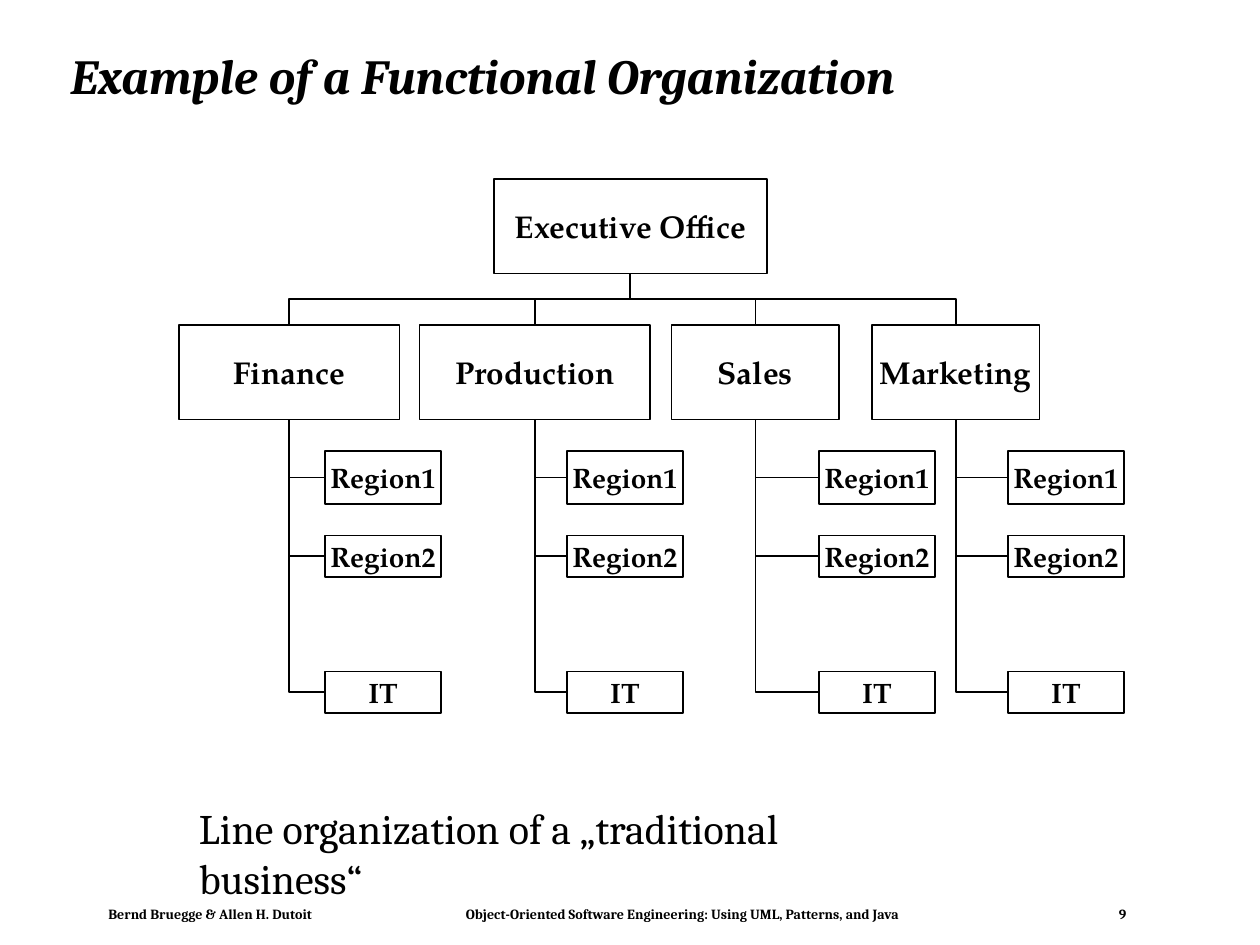
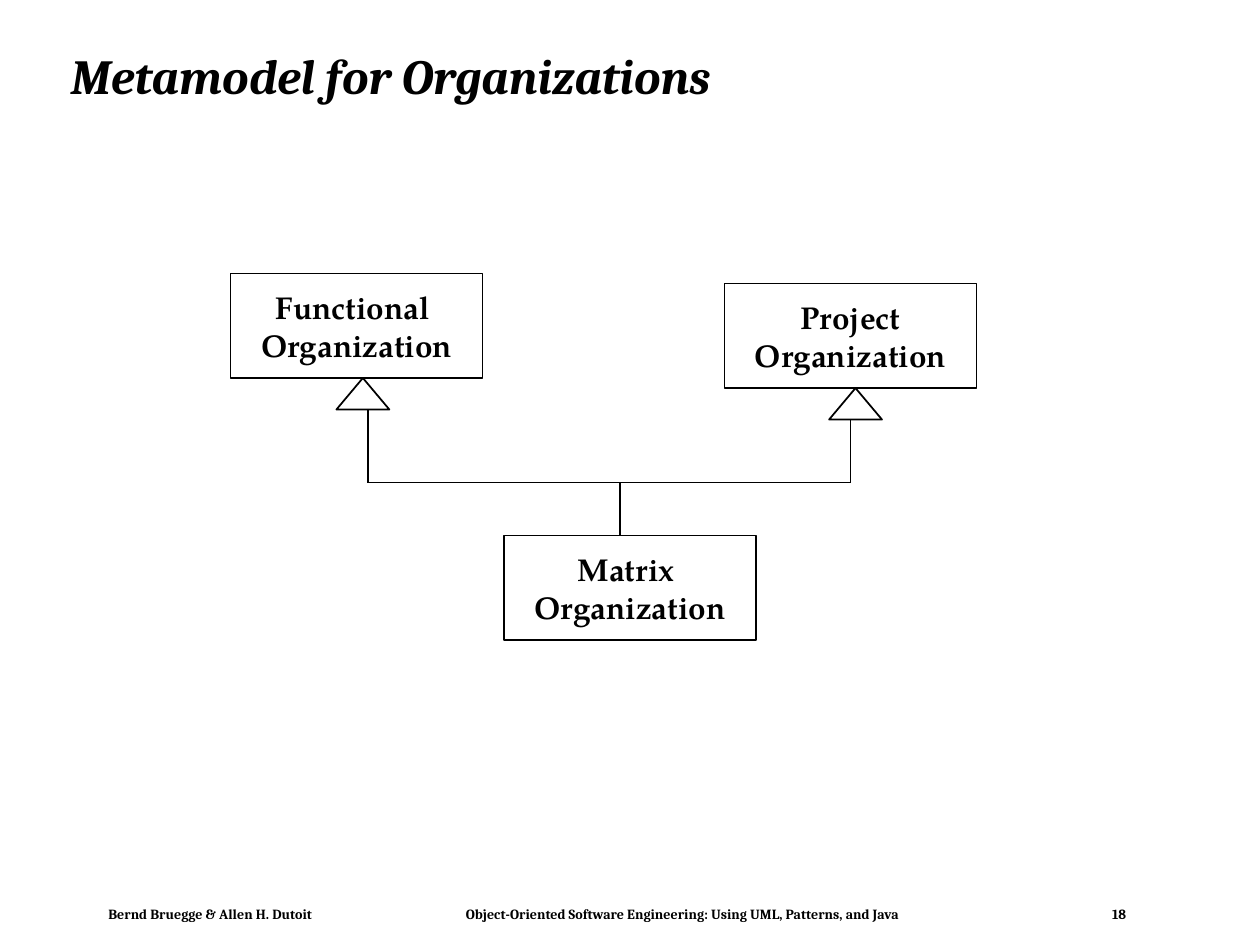
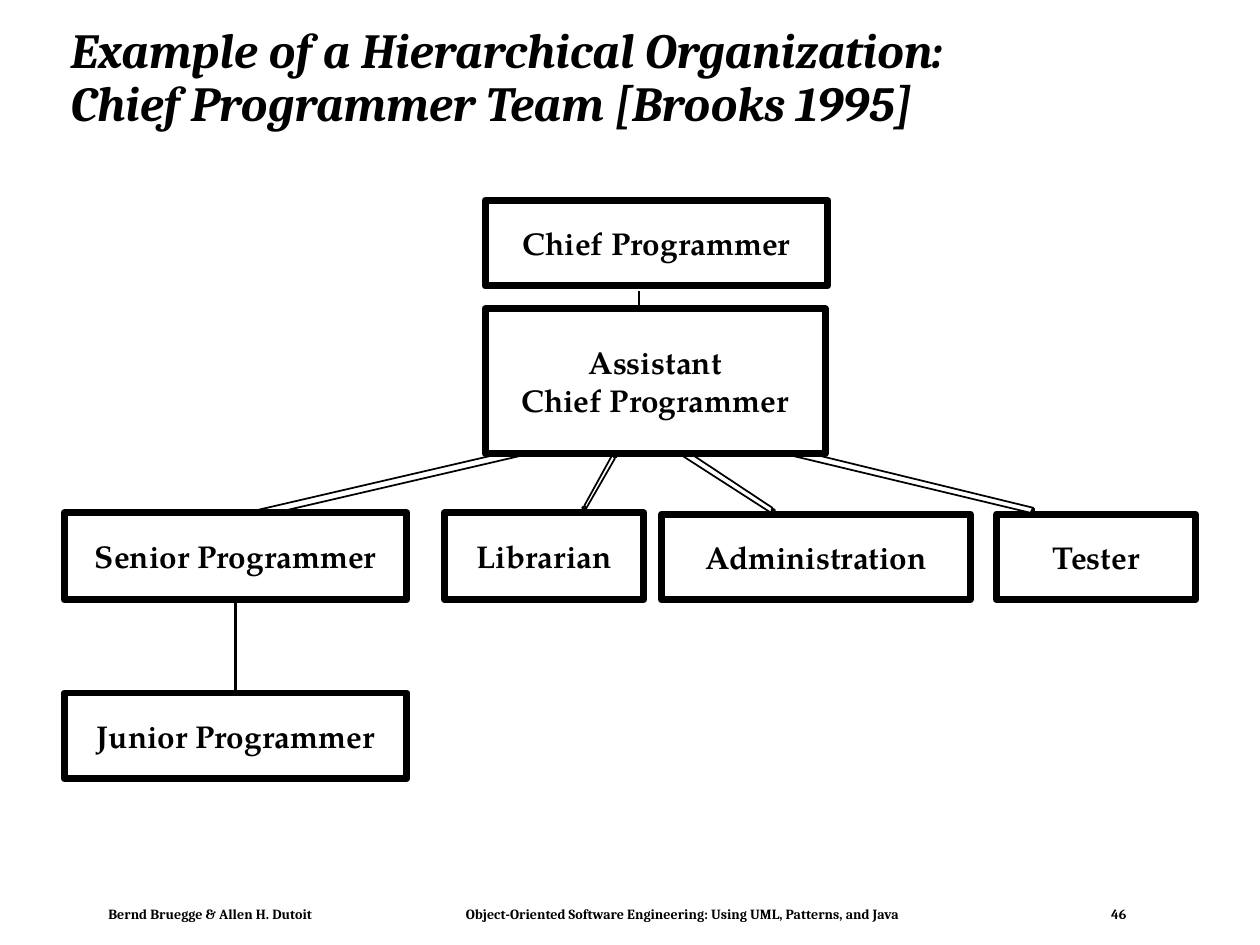
from lxml import etree
from pptx import Presentation
from pptx.dml.color import RGBColor
from pptx.enum.shapes import MSO_CONNECTOR, MSO_SHAPE
from pptx.enum.text import MSO_ANCHOR, MSO_AUTO_SIZE, PP_ALIGN
from pptx.oxml.ns import qn
from pptx.util import Inches, Pt

BLACK = RGBColor(0, 0, 0)
WHITE = RGBColor(255, 255, 255)
SERIF = "Cambria"
LABEL = "TeX Gyre Pagella"
RECT = MSO_SHAPE.RECTANGLE
TRIANGLE = MSO_SHAPE.ISOSCELES_TRIANGLE
STRAIGHT = MSO_CONNECTOR.STRAIGHT
ELBOW = MSO_CONNECTOR.ELBOW
LEFT, CENTER = PP_ALIGN.LEFT, PP_ALIGN.CENTER
TOP, MIDDLE = MSO_ANCHOR.TOP, MSO_ANCHOR.MIDDLE
NO_FIT = MSO_AUTO_SIZE.NONE

AUTHORS = "Bernd Bruegge & Allen H. Dutoit"
BOOK = "Object-Oriented Software Engineering: Using UML, Patterns, and Java"
TABS = [("ctr", 4.56), ("r", 8.08)]


def write(frame, text, size, font, bold=True, italic=False,
          align=LEFT, anchor=TOP, wrap=True):
    frame.text = text
    frame.auto_size = NO_FIT
    frame.word_wrap = wrap
    frame.vertical_anchor = anchor
    for para in frame.paragraphs:
        para.alignment = align
        for run in para.runs:
            run.font.name = font
            run.font.size = Pt(size)
            run.font.bold = bold
            run.font.italic = italic
            run.font.color.rgb = BLACK


def paint(shape, weight=1):
    shape.shadow.inherit = False
    shape.fill.solid()
    shape.fill.fore_color.rgb = WHITE
    shape.line.color.rgb = BLACK
    shape.line.width = Pt(weight)


def add_text(slide, text, left, top, width, height, size, bold):
    box = slide.shapes.add_textbox(*map(Inches, (left, top, width, height)))
    write(box.text_frame, text, size, SERIF, bold)
    return box.text_frame


def add_foot(slide, number):
    frame = add_text(slide, f"{AUTHORS}\t{BOOK}\t{number}",
                     0.78, 7.15, 8.27, 0.21, 8, True)
    frame.margin_left = frame.margin_right = Inches(0.08)
    frame.margin_top = frame.margin_bottom = Inches(0.04)
    props = frame.paragraphs[0]._p.get_or_add_pPr()
    stops = etree.SubElement(props, qn("a:tabLst"))
    for align, place in TABS:
        etree.SubElement(stops, qn("a:tab"), pos=str(Inches(place)), algn=align)


def add_page(deck, title, number):
    slide = deck.slides.add_slide(deck.slide_layouts[5])
    head = slide.shapes.title
    head.left, head.top = Inches(0.46), Inches(0.24)
    head.width, head.height = Inches(8.92), Inches(0.77)
    write(head.text_frame, title, 28, SERIF, italic=True, anchor=MIDDLE)
    head.text_frame.paragraphs[0].line_spacing = 0.9
    add_foot(slide, number)
    return slide


def add_box(slide, text, left, top, width, height, size=18, weight=1):
    box = slide.shapes.add_shape(RECT, *map(Inches, (left, top, width, height)))
    paint(box, weight)
    write(box.text_frame, text, size, LABEL,
          align=CENTER, anchor=MIDDLE, wrap=False)


def add_line(slide, x1, y1, x2, y2, weight=1, kind=STRAIGHT):
    line = slide.shapes.add_connector(kind, *map(Inches, (x1, y1, x2, y2)))
    line.line.color.rgb = BLACK
    line.line.width = Pt(weight)
    etree.SubElement(line._element.spPr, qn("a:effectLst"))
    return line


def add_elbow(slide, x1, y1, x2, y2, corner=False):
    mid_x, mid_y = (x1 + x2) / 2, (y1 + y2) / 2
    half_w, half_h = (y2 - y1) / 2, abs(x2 - x1) / 2
    side = 1 if x2 > x1 else -1
    line = add_line(slide, mid_x + side * half_w, mid_y - half_h,
                    mid_x - side * half_w, mid_y + half_h, kind=ELBOW)
    line.rotation = 270 if side > 0 else 90
    if corner:
        line._element.spPr.find(qn("a:prstGeom")).set("prst", "bentConnector2")


def add_outline(slide, points):
    first, *rest = [(Inches(x), Inches(y)) for x, y in points]
    pen = slide.shapes.build_freeform(*first)
    pen.add_line_segments(rest, close=True)
    paint(pen.convert_to_shape())


def draw_staff(deck):
    slide = add_page(deck, "Example of a Functional Organization", 9)
    units = [("Finance", 1.42, 1.75, 2.58), ("Production", 3.33, 1.83, 4.5),
             ("Sales", 5.33, 1.33, 6.5), ("Marketing", 6.92, 1.33, 8)]
    groups = [("Region1", 3.58, 0.42), ("Region2", 4.25, 0.33),
              ("IT", 5.33, 0.33)]
    add_box(slide, "Executive Office", 3.92, 1.42, 2.17, 0.75)
    for unit, left, width, inner in units:
        stem = left + width / 2
        add_box(slide, unit, left, 2.58, width, 0.75)
        add_elbow(slide, 5, 2.17, stem, 2.58)
        for group, top, height in groups:
            add_box(slide, group, inner, top, 0.92, height, 16)
            add_elbow(slide, stem, 3.33, inner, top + height / 2, True)
    add_text(slide, "Line organization of a „traditional business“",
             1.48, 6.32, 6.11, 0.5, 24, False)


def draw_model(deck):
    slide = add_page(deck, "Metamodel for Organizations", 18)
    kinds = [("Functional ", 1.83, 2.17), ("Project", 5.75, 2.25),
             ("Matrix ", 4, 4.25)]
    for kind, left, top in kinds:
        add_box(slide, f"{kind}\nOrganization", left, top, 2, 0.83)
    for left, top, stem in [(2.67, 3, 2.92), (6.58, 3.08, 6.75)]:
        tip = slide.shapes.add_shape(
            TRIANGLE, Inches(left), Inches(top), Inches(0.42), Inches(0.25))
        paint(tip)
        add_line(slide, stem, top + 0.25, stem, 3.83)
    add_line(slide, 2.92, 3.83, 6.75, 3.83)
    add_line(slide, 4.92, 3.83, 4.92, 4.25)


def draw_team(deck):
    slide = add_page(deck, "Example of a Hierarchical Organization:\v"
                     "Chief Programmer Team [Brooks 1995]", 46)
    links = [
        [(4.64, 3.5), (4.62, 3.45), (1.95, 4.07), (1.97, 4.12)],
        [(4.89, 3.63), (4.9, 3.61), (4.88, 3.59), (4.87, 3.6)],
        [(4.64, 4.05), (4.64, 4.06), (4.62, 4.03), (4.63, 4.02)],
        [(4.88, 3.64), (4.86, 3.61), (4.64, 4.01), (4.65, 4.04)],
        [(6.14, 4.04), (6.15, 4.05), (6.14, 4.07), (6.13, 4.07)],
        [(5.3, 3.48), (5.28, 3.53), (6.12, 4.07), (6.13, 4.03)],
        [(8.2, 4.07), (8.21, 4.07), (8.21, 4.04), (8.2, 4.04)],
        [(8.18, 4.07), (8.2, 4.03), (5.82, 3.45), (5.8, 3.5)],
    ]
    roles = [
        ("Chief Programmer", 3.85, 1.59, 2.72, 0.68),
        ("Assistant\nChief Programmer", 3.85, 2.45, 2.7, 1.15),
        ("Senior Programmer", 0.51, 4.07, 2.72, 0.69),
        ("Librarian", 3.53, 4.07, 1.58, 0.69),
        ("Administration", 5.25, 4.08, 2.45, 0.68),
        ("Tester", 7.91, 4.08, 1.58, 0.68),
        ("Junior Programmer", 0.51, 5.5, 2.72, 0.68),
    ]
    late = roles[1:3]
    for role in roles:
        if role not in late:
            add_box(slide, *role, weight=4)
    add_line(slide, 5.07, 2.31, 5.07, 2.46)
    for link in links:
        add_outline(slide, link)
    add_line(slide, 1.87, 4.76, 1.87, 5.52, 2)
    for role in late:
        add_box(slide, *role, weight=4)


def main():
    deck = Presentation()
    deck.slide_width, deck.slide_height = Inches(10), Inches(7.5)
    draw_staff(deck)
    draw_model(deck)
    draw_team(deck)
    deck.save("out.pptx")


main()
